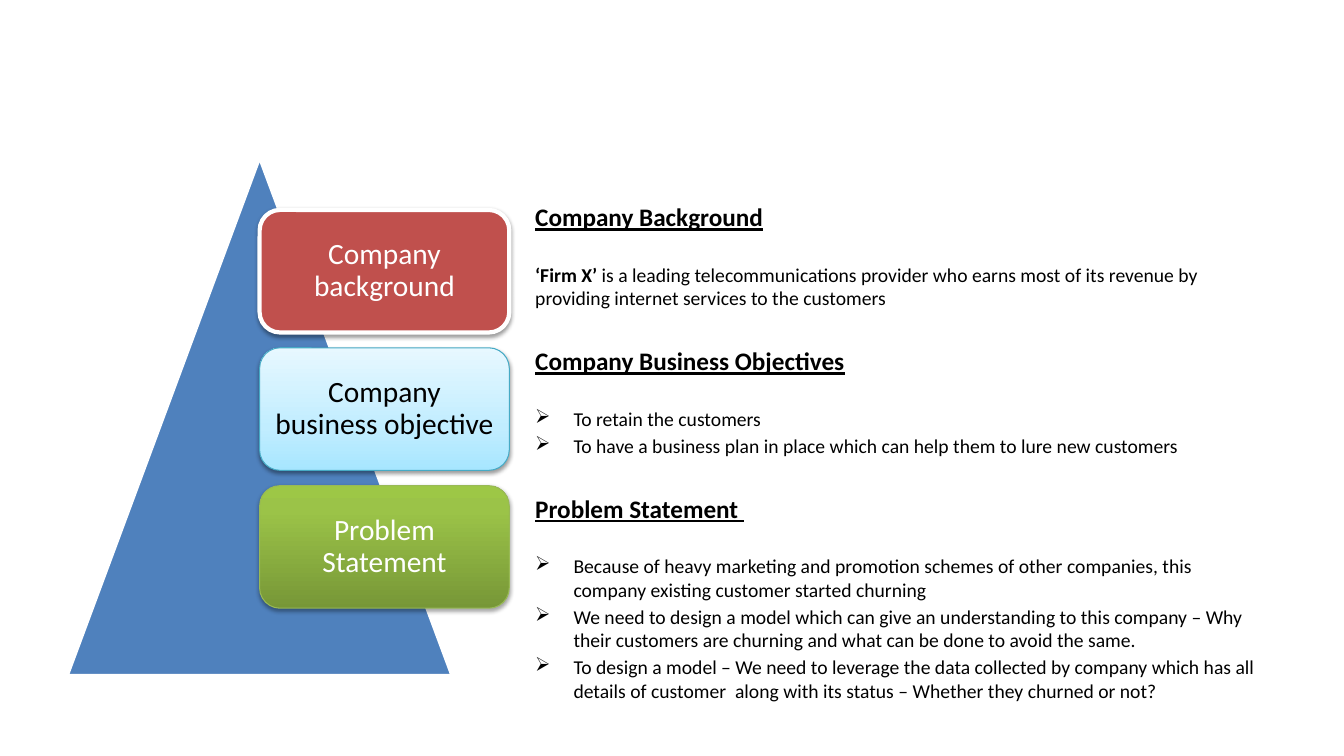
import lxml.etree
import pptx
import pptx.dml.color
import pptx.enum.shapes
import pptx.enum.text
import pptx.oxml.ns
import pptx.util

Inches, Pt = pptx.util.Inches, pptx.util.Pt
SHAPE = pptx.enum.shapes.MSO_SHAPE
FONT = "Calibri"

CARDS = [
    ("Company background", ["C0504D"], "FFFFFF", "FFFFFF", 3, 38),
    ("Company business objective", [(0, "A7E6FF"), (35, "C1EDFF"), (100, "E7F8FF")],
     "46AAC5", "000000", 0.75, 38),
    ("Problem Statement", [(0, "779737"), (80, "9BC348"), (100, "9DC746")],
     "98B955", "FFFFFF", 0.75, 35),
]

SECTIONS = [
    ("Company Background", False, [
        [("‘Firm X’ ", True),
         ("is a leading telecommunications provider who earns most of its revenue by "
          "providing internet services to the customers", False)],
    ]),
    ("Company Business Objectives", True, [
        [("To retain the customers", False)],
        [("To have a business plan in place which can help them to lure new customers", False)],
    ]),
    ("Problem Statement ", True, [
        [("Because of heavy marketing and promotion schemes of other companies, this "
          "company existing customer started churning", False)],
        [("We need to design a model which can give an understanding to this company – Why "
          "their customers are churning and what can be done to avoid the same.", False)],
        [("To design a model – We need to leverage the data collected by company which has all "
          "details of customer  along with its status – Whether they churned or not?", False)],
    ]),
]


def rgb(value):
    return pptx.dml.color.RGBColor.from_string(value)


def child(parent, tag, **attrs):
    el = lxml.etree.SubElement(parent, pptx.oxml.ns.qn(tag))
    for name, value in attrs.items():
        el.set(name, str(value))
    return el


def style_run(r, size, color, bold=False, underline=False):
    r.font.name = FONT
    r.font.size = Pt(size)
    r.font.bold = bold
    r.font.underline = underline
    r.font.color.rgb = rgb(color)


def add_block(slide, kind, box, line, weight):
    sp = slide.shapes.add_shape(kind, *(Inches(v) for v in box))
    sp.shadow.inherit = False
    sp.line.color.rgb = rgb(line)
    sp.line.width = Pt(weight)
    return sp


def fill_gradient(sp, stops):
    sp.fill.gradient()
    sp.fill.gradient_angle = 90
    stop_list = sp.element.spPr.find(".//" + pptx.oxml.ns.qn("a:gsLst"))
    for stop in list(stop_list):
        stop_list.remove(stop)
    for pos, color in stops:
        child(child(stop_list, "a:gs", pos=pos * 1000), "a:srgbClr", val=color)


def add_shadow(sp, opacity):
    effects = sp.element.spPr.find(pptx.oxml.ns.qn("a:effectLst"))
    shadow = child(effects, "a:outerShdw", blurRad=Pt(3.1), dist=Pt(1.6),
                   dir=5400000, rotWithShape=0)
    child(child(shadow, "a:srgbClr", val="000000"), "a:alpha", val=opacity * 1000)


def add_card(slide, box, text, fill, line, color, weight, opacity):
    sp = add_block(slide, SHAPE.ROUNDED_RECTANGLE, box, line, weight)
    if len(fill) == 1:
        sp.fill.solid()
        sp.fill.fore_color.rgb = rgb(fill[0])
    else:
        fill_gradient(sp, fill)
    add_shadow(sp, opacity)
    tf = sp.text_frame
    tf.word_wrap = True
    tf.vertical_anchor = pptx.enum.text.MSO_ANCHOR.MIDDLE
    tf.margin_left = tf.margin_right = tf.margin_top = tf.margin_bottom = Inches(0.09)
    p = tf.paragraphs[0]
    p.text = text
    p.alignment = pptx.enum.text.PP_ALIGN.CENTER
    p.line_spacing = 0.9
    style_run(p.runs[0], 21, color)


def add_pyramid(slide, box):
    left, top, width, height = box
    sp = add_block(slide, SHAPE.ISOSCELES_TRIANGLE, box, "FFFFFF", 2)
    sp.fill.solid()
    sp.fill.fore_color.rgb = rgb("4F81BD")
    card_w, card_h = width * 0.65, height * 0.237
    for i, card in enumerate(CARDS):
        card_top = top + height * 0.1 + i * card_h * 1.125
        add_card(slide, (left + width / 2, card_top, card_w, card_h), *card)


def add_bullet(p):
    pPr = p._p.get_or_add_pPr()
    pPr.set("marL", str(Inches(0.38)))
    pPr.set("indent", str(-Inches(0.38)))
    child(pPr, "a:buChar", char="➢")


def add_sections(slide, box):
    tf = slide.shapes.add_textbox(*(Inches(v) for v in box)).text_frame
    tf.word_wrap = True
    for i, (heading, bulleted, items) in enumerate(SECTIONS):
        p = tf.add_paragraph() if i else tf.paragraphs[0]
        p.text = heading
        p.space_before = Pt(25.7 if i else 0)
        style_run(p.runs[0], 18, "000000", True, True)
        for j, parts in enumerate(items):
            p = tf.add_paragraph()
            p.space_before = Pt(2.5 if j else 22)
            if bulleted:
                add_bullet(p)
            for text, bold in parts:
                r = p.add_run()
                r.text = text
                style_run(r, 14, "000000", bold)


def main():
    prs = pptx.Presentation()
    prs.slide_width, prs.slide_height = Inches(13.33), Inches(7.5)
    slide = prs.slides.add_slide(prs.slide_layouts[6])
    add_sections(slide, (5.21, 1.95, 7.45, 5.21))
    add_pyramid(slide, (0.67, 1.57, 3.81, 5.13))
    prs.save("out.pptx")


if __name__ == "__main__":
    main()
